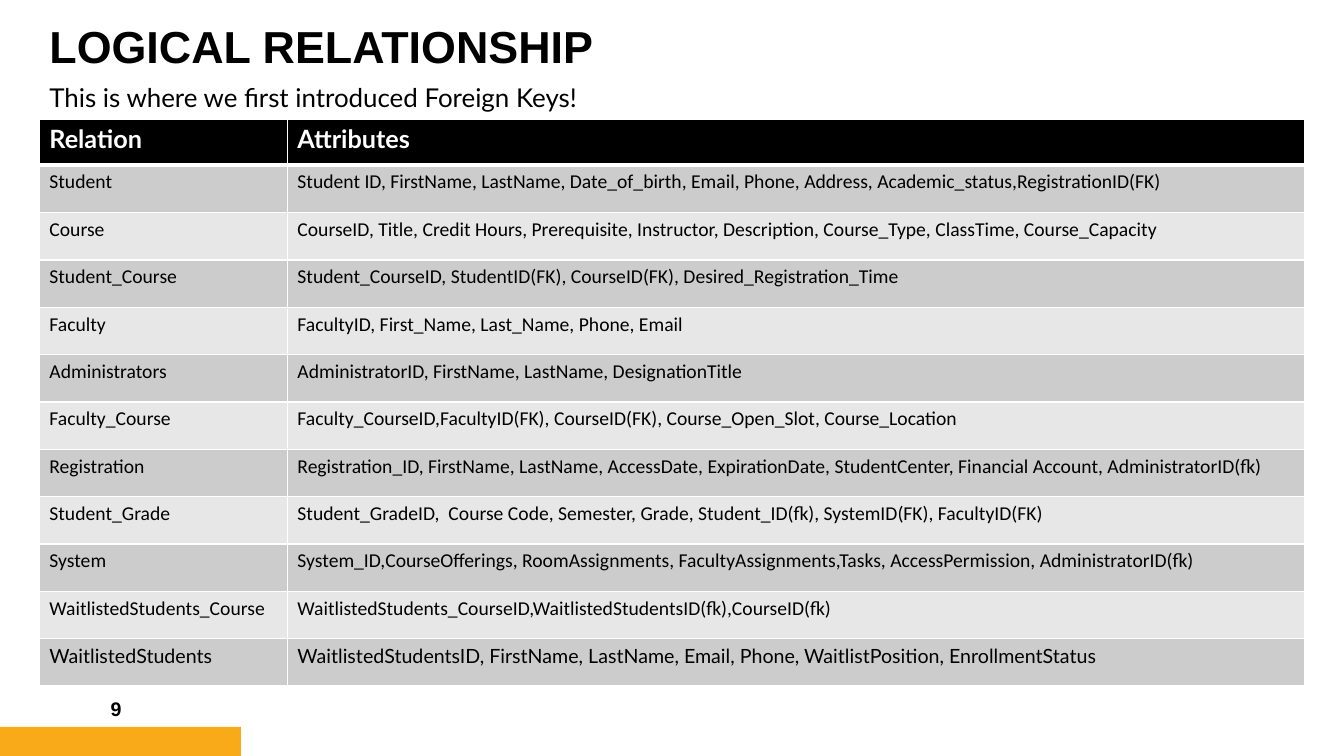
from dataclasses import dataclass

from lxml.etree import SubElement
from pptx import Presentation
from pptx.dml.color import RGBColor
from pptx.enum.shapes import MSO_SHAPE
from pptx.enum.text import MSO_ANCHOR, PP_ALIGN
from pptx.oxml.ns import qn
from pptx.util import Inches, Pt

HUES = {
    "black": "000000",
    "white": "FFFFFF",
    "gold": "F9AA19",
    "dark": "CCCCCC",
    "light": "E7E7E7",
}


@dataclass
class Style:
    size: float
    font: str
    hue: str = "black"
    bold: bool = False


@dataclass
class Entry:
    name: str
    attrs: str
    style: Style


HEAD = Style(18, "Lato", "white", True)
ROW = Style(14, "Calibri")
LAST = Style(14, "Lato")

ENTRIES = [
    Entry("Relation", "Attributes", HEAD),
    Entry("Student", "Student ID, FirstName, LastName, Date_of_birth, Email, Phone, Address, Academic_status,RegistrationID(FK)", ROW),
    Entry("Course", "CourseID, Title, Credit Hours, Prerequisite, Instructor, Description, Course_Type, ClassTime, Course_Capacity", ROW),
    Entry("Student_Course", "Student_CourseID, StudentID(FK), CourseID(FK), Desired_Registration_Time", ROW),
    Entry("Faculty", "FacultyID, First_Name, Last_Name, Phone, Email", ROW),
    Entry("Administrators", "AdministratorID, FirstName, LastName, DesignationTitle", ROW),
    Entry("Faculty_Course", "Faculty_CourseID,FacultyID(FK), CourseID(FK), Course_Open_Slot, Course_Location", ROW),
    Entry("Registration", "Registration_ID, FirstName, LastName, AccessDate, ExpirationDate, StudentCenter, Financial Account, AdministratorID(fk)", ROW),
    Entry("Student_Grade", "Student_GradeID,  Course Code, Semester, Grade, Student_ID(fk), SystemID(FK), FacultyID(FK)", ROW),
    Entry("System", "System_ID,CourseOfferings, RoomAssignments, FacultyAssignments,Tasks, AccessPermission, AdministratorID(fk)", ROW),
    Entry("WaitlistedStudents_Course", "WaitlistedStudents_CourseID,WaitlistedStudentsID(fk),CourseID(fk)", ROW),
    Entry("WaitlistedStudents", "WaitlistedStudentsID, FirstName, LastName, Email, Phone, WaitlistPosition, EnrollmentStatus", LAST),
]


def paint(fill, hue: str) -> None:
    fill.solid()
    fill.fore_color.rgb = RGBColor.from_string(HUES[hue])


def write(frame, text: str, style: Style):
    frame.text = text
    para = frame.paragraphs[0]
    para.alignment = PP_ALIGN.LEFT
    font = para.font
    font.size, font.name, font.bold = Pt(style.size), style.font, style.bold
    font.color.rgb = RGBColor.from_string(HUES[style.hue])
    return para


def place(shape, left: float, top: float, width: float, height: float) -> None:
    shape.left, shape.top = Inches(left), Inches(top)
    shape.width, shape.height = Inches(width), Inches(height)


def label(shape, text: str, style: Style, anchor: MSO_ANCHOR):
    frame = shape.text_frame
    frame.word_wrap = True
    frame.vertical_anchor = anchor
    return write(frame, text, style)


def border(cell, row: int) -> None:
    props = cell._tc.get_or_add_tcPr()
    widths = {"L": 1, "R": 1, "T": 3 if row == 1 else 1, "B": 3 if row == 0 else 1}
    for side, width in widths.items():
        line = SubElement(props, qn(f"a:ln{side}"), w=str(Pt(width)))
        fill = SubElement(line, qn("a:solidFill"))
        SubElement(fill, qn("a:srgbClr"), val=HUES["white"])


def add_grid(slide) -> None:
    size = len(ENTRIES)
    table = slide.shapes.add_table(
        size, 2, Inches(0.39), Inches(1.18), Inches(12.55), Inches(5.65)
    ).table
    for col, width in zip(table.columns, (2.46, 10.09)):
        col.width = Inches(width)
    for row, entry in enumerate(ENTRIES):
        table.rows[row].height = Inches(0.47 if row else 0.46)
        hue = ("dark" if row % 2 else "light") if row else "black"
        for col, text in enumerate((entry.name, entry.attrs)):
            cell = table.cell(row, col)
            border(cell, row)
            paint(cell.fill, hue)
            write(cell.text_frame, text, entry.style)


def main() -> None:
    deck = Presentation()
    deck.slide_width, deck.slide_height = Inches(13.33), Inches(7.5)
    slide = deck.slides.add_slide(deck.slide_layouts[2])

    bar = slide.shapes.add_shape(
        MSO_SHAPE.RECTANGLE, Inches(0), Inches(7.21), Inches(2.39), Inches(0.29)
    )
    bar.shadow.inherit = False
    paint(bar.fill, "gold")
    bar.line.fill.background()

    title, body = slide.placeholders
    place(title, 0.39, 0.16, 6.75, 0.62)
    para = label(title, "LOGICAL RELATIONSHIP", Style(32, "Arial", bold=True), MSO_ANCHOR.BOTTOM)
    para.line_spacing = 0.9

    place(body, 0.39, 0.79, 7.34, 0.4)
    para = label(body, "This is where we first introduced Foreign Keys!", Style(18.5, "Lato"), MSO_ANCHOR.TOP)
    para.line_spacing = 0.9
    para.space_before, para.space_after = Pt(0), Pt(12)

    page = slide.shapes.add_textbox(Inches(1), Inches(6.83), Inches(1.3), Inches(0.4))
    label(page, "9", Style(14, "Arial", bold=True), MSO_ANCHOR.MIDDLE)

    add_grid(slide)
    deck.save("out.pptx")


if __name__ == "__main__":
    main()
